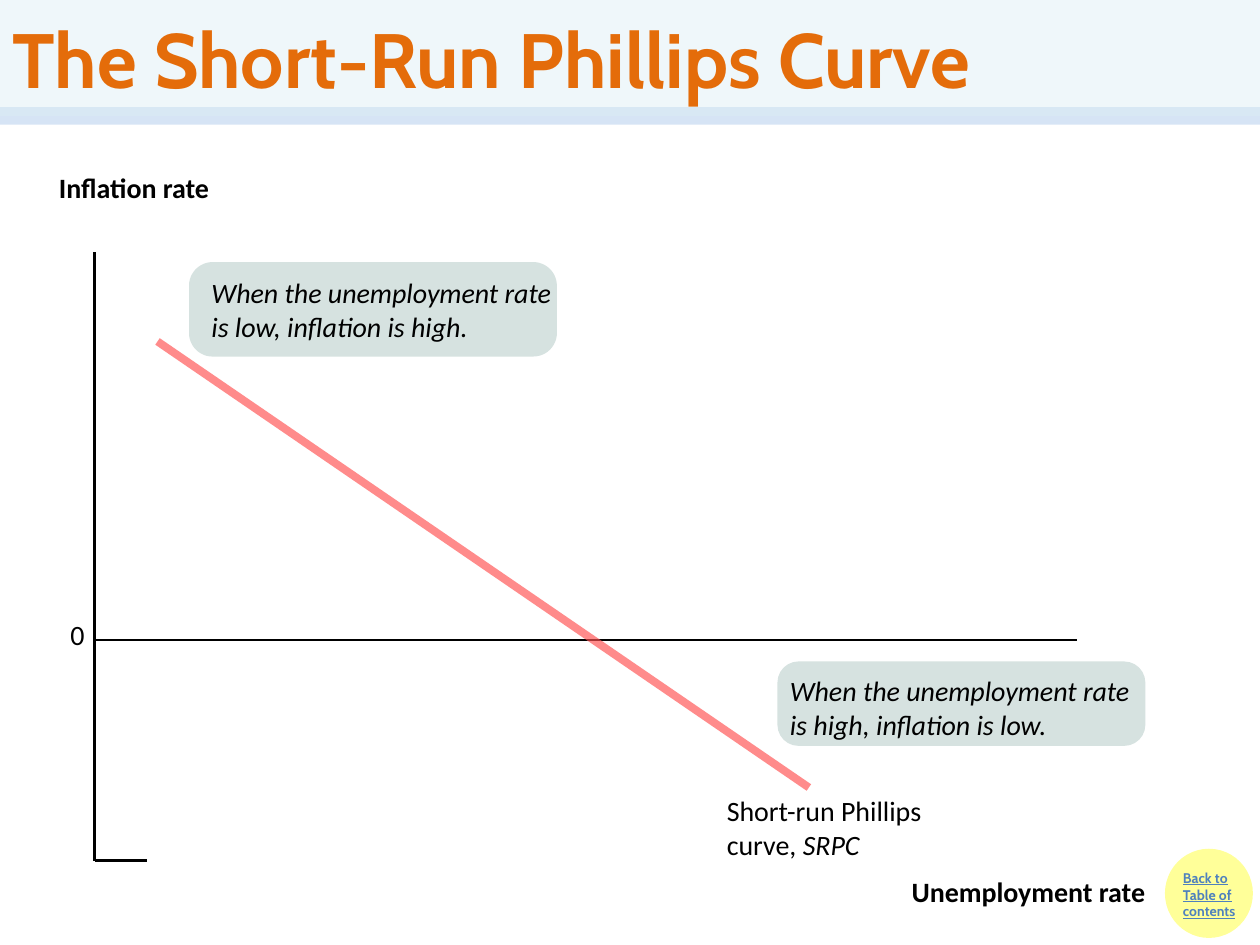
from lxml import etree
from pptx import Presentation
from pptx.dml.color import RGBColor
from pptx.enum.shapes import MSO_CONNECTOR, MSO_SHAPE
from pptx.enum.text import MSO_ANCHOR, PP_ALIGN
from pptx.oxml.ns import qn
from pptx.util import Inches, Pt

STRAIGHT = MSO_CONNECTOR.STRAIGHT
OVAL = MSO_SHAPE.OVAL
ROUNDED = MSO_SHAPE.ROUNDED_RECTANGLE
MIDDLE = MSO_ANCHOR.MIDDLE
LEFT, RIGHT = PP_ALIGN.LEFT, PP_ALIGN.RIGHT

BLACK = "000000"
CALLOUT_FILL = "D6E2E0"
BADGE_FILL = "FFFF99"
DEFAULT_INSETS = (0.1, 0.05)
NO_INSETS = (0, 0)


def rgb(value):
    return RGBColor.from_string(value)


def set_opacity(element, percent):
    for color in element.iter(qn("a:srgbClr")):
        etree.SubElement(color, qn("a:alpha")).set("val", str(percent * 1000))


def set_font(font, name, size, color, bold=False):
    font.name = name
    font.size = Pt(size)
    font.bold = bold
    font.color.rgb = rgb(color)


def add_line(slide, start, end, color=BLACK, width=1.5, opacity=100):
    points = [Inches(value) for value in (*start, *end)]
    line = slide.shapes.add_connector(STRAIGHT, *points)
    line.line.color.rgb = rgb(color)
    line.line.width = Pt(width)
    properties = line.element.spPr
    if opacity < 100:
        set_opacity(properties, opacity)
    etree.SubElement(properties, qn("a:effectLst"))


def add_filled_shape(slide, kind, box, color):
    shape = slide.shapes.add_shape(kind, *map(Inches, box))
    shape.shadow.inherit = False
    shape.fill.solid()
    shape.fill.fore_color.rgb = rgb(color)
    shape.line.fill.background()
    return shape


def add_text(slide, box, text, insets=DEFAULT_INSETS, align=LEFT, bold=False,
             italic=False, font="Calibri", size=16, color=BLACK):
    frame = slide.shapes.add_textbox(*map(Inches, box)).text_frame
    frame.word_wrap = True
    frame.margin_left = frame.margin_right = Inches(insets[0])
    frame.margin_top = frame.margin_bottom = Inches(insets[1])
    paragraph = frame.paragraphs[0]
    paragraph.text = text
    paragraph.alignment = align
    set_font(paragraph.font, font, size, color, bold)
    paragraph.font.italic = italic
    return paragraph


def add_callout(slide, box, text_box, text):
    callout = add_filled_shape(slide, ROUNDED, box, CALLOUT_FILL)
    callout.adjustments[0] = 0.25
    add_text(slide, text_box, text, italic=True)


def add_contents_badge(slide):
    badge = add_filled_shape(slide, OVAL, (9.26, 6.75, 0.67, 0.68), BADGE_FILL)
    badge.line.color.rgb = rgb(BADGE_FILL)
    badge.line.width = Pt(2)
    paragraph = add_text(slide, (9.29, 6.85, 0.72, 0.67), "Back to Table of contents",
                         bold=True, font="Cabin", size=8, color="4F81BD")
    paragraph.font.underline = True


def format_title(slide, text):
    title = slide.shapes.title
    title.left, title.top, title.width, title.height = map(Inches, (0, 0, 10, 0.92))
    title.fill.solid()
    title.fill.fore_color.rgb = rgb("DBEEF4")
    set_opacity(title.element.spPr, 44)
    title.text_frame.vertical_anchor = MIDDLE
    paragraph = title.text_frame.paragraphs[0]
    paragraph.text = text
    paragraph.alignment = LEFT
    set_font(paragraph.font, "Cabin", 44, "E46C0A", bold=True)
    title.element.getparent().append(title.element)


def add_axes(slide):
    left, top, zero, bottom = 0.75, 2, 5.08, 6.83
    add_line(slide, (left, top), (left, bottom))
    add_line(slide, (left, bottom), (1.17, bottom))
    add_line(slide, (left, zero), (8.55, zero))
    for box, text, bold in (
        ((0.33, 1.35, 1.33, 0.27), "Inflation rate", True),
        ((0.25, 4.9, 0.42, 0.27), "0", False),
        ((6.42, 6.94, 2.67, 0.27), "Unemployment rate", True),
    ):
        add_text(slide, box, text, NO_INSETS, RIGHT, bold)


def add_curve(slide):
    add_line(slide, (1.25, 2.71), (6.42, 6.25), "FF5050", 4.5, 66)
    label = add_text(slide, (5.67, 6.25, 2.17, 0.64), "Short-run Phillips curve, ")
    symbol = label.add_run()
    symbol.text = "SRPC"
    symbol.font.italic = True


def main():
    presentation = Presentation()
    presentation.slide_width = Inches(10)
    presentation.slide_height = Inches(7.5)
    slide = presentation.slides.add_slide(presentation.slide_layouts[5])
    add_line(slide, (0, 0.92), (10, 0.92), "C6D9F1", 10, 71)
    add_contents_badge(slide)
    format_title(slide, "The Short-Run Phillips Curve")
    add_callout(slide, (1.5, 2.08, 2.92, 0.75), (1.58, 2.14, 3.07, 0.64),
                "When the unemployment rate is low, inflation is high.")
    add_callout(slide, (6.17, 5.25, 2.92, 0.67), (6.17, 5.3, 2.92, 0.53),
                "When the unemployment rate is high, inflation is low.")
    add_axes(slide)
    add_curve(slide)
    presentation.save("out.pptx")


if __name__ == "__main__":
    main()
